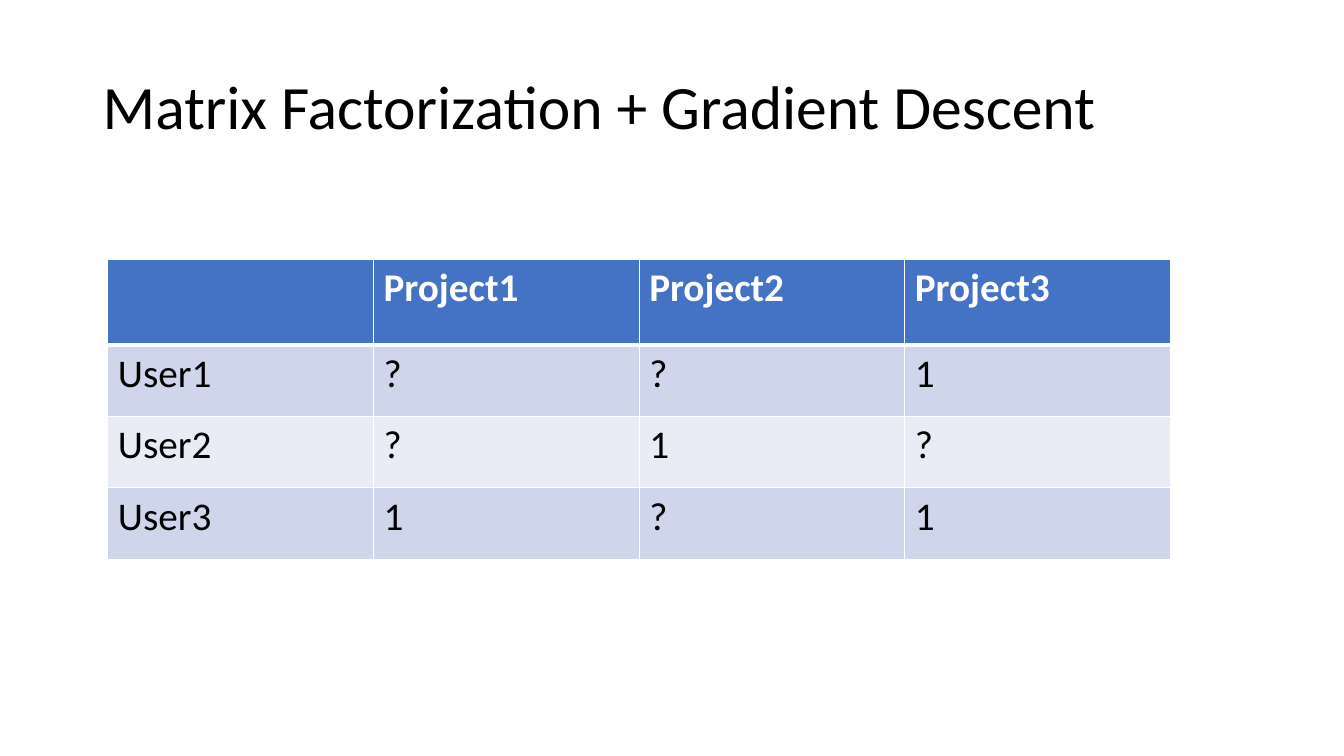
import pptx
import pptx.util
import pptx.dml.color
import pptx.enum.text
import pptx.oxml
import pptx.oxml.ns
from pptx.util import Inches

FONT = "Calibri"
COLORS = {
    "text": "000000",
    "header": "4472C4",
    "header_text": "FFFFFF",
    "odd_row": "CFD5EA",
    "even_row": "E9EBF5",
    "border": "FFFFFF",
}
RATINGS = [
    ["", "Project1", "Project2", "Project3"],
    ["User1", "?", "?", "1"],
    ["User2", "?", "1", "?"],
    ["User3", "1", "?", "1"],
]


def color(name):
    return pptx.dml.color.RGBColor.from_string(COLORS[name])


def style_paragraph(paragraph, size, color_name, bold=False):
    paragraph.font.name = FONT
    paragraph.font.size = pptx.util.Pt(size)
    paragraph.font.bold = bold
    paragraph.font.color.rgb = color(color_name)


def add_title(slide, text):
    box = slide.shapes.add_textbox(Inches(0.92), Inches(0.36), Inches(11.5), Inches(1.45))
    frame = box.text_frame
    frame.word_wrap = True
    frame.vertical_anchor = pptx.enum.text.MSO_ANCHOR.MIDDLE
    paragraph = frame.paragraphs[0]
    paragraph.text = text
    paragraph.line_spacing = 0.9
    style_paragraph(paragraph, 44, "text")


def add_border(cell, side, width):
    namespace = pptx.oxml.ns.nsdecls("a")
    line = pptx.oxml.parse_xml(
        f'<a:ln{side} {namespace} w="{pptx.util.Pt(width)}"><a:solidFill>'
        f'<a:srgbClr val="{COLORS["border"]}"/></a:solidFill></a:ln{side}>'
    )
    cell._tc.get_or_add_tcPr().append(line)


def style_cell(cell, row_index):
    is_header = row_index == 0
    widths = {"L": 1, "R": 1, "T": 3 if row_index == 1 else 1, "B": 3 if is_header else 1}
    for side, width in widths.items():
        add_border(cell, side, width)
    band = "odd_row" if row_index % 2 else "even_row"
    cell.fill.solid()
    cell.fill.fore_color.rgb = color("header" if is_header else band)
    text_color = "header_text" if is_header else "text"
    style_paragraph(cell.text_frame.paragraphs[0], 28, text_color, is_header)


def add_ratings_table(slide, rows):
    table = slide.shapes.add_table(
        len(rows), len(rows[0]), Inches(1.07), Inches(2.57), Inches(10.54), Inches(2.98)
    ).table
    for row_index, values in enumerate(rows):
        table.rows[row_index].height = Inches(0.71 if row_index else 0.85)
        for column_index, value in enumerate(values):
            cell = table.cell(row_index, column_index)
            cell.text = value
            style_cell(cell, row_index)


def main():
    presentation = pptx.Presentation()
    presentation.slide_width = Inches(13.33)
    presentation.slide_height = Inches(7.5)
    slide = presentation.slides.add_slide(presentation.slide_layouts[6])
    add_title(slide, "Matrix Factorization + Gradient Descent")
    add_ratings_table(slide, RATINGS)
    presentation.save("out.pptx")


main()
